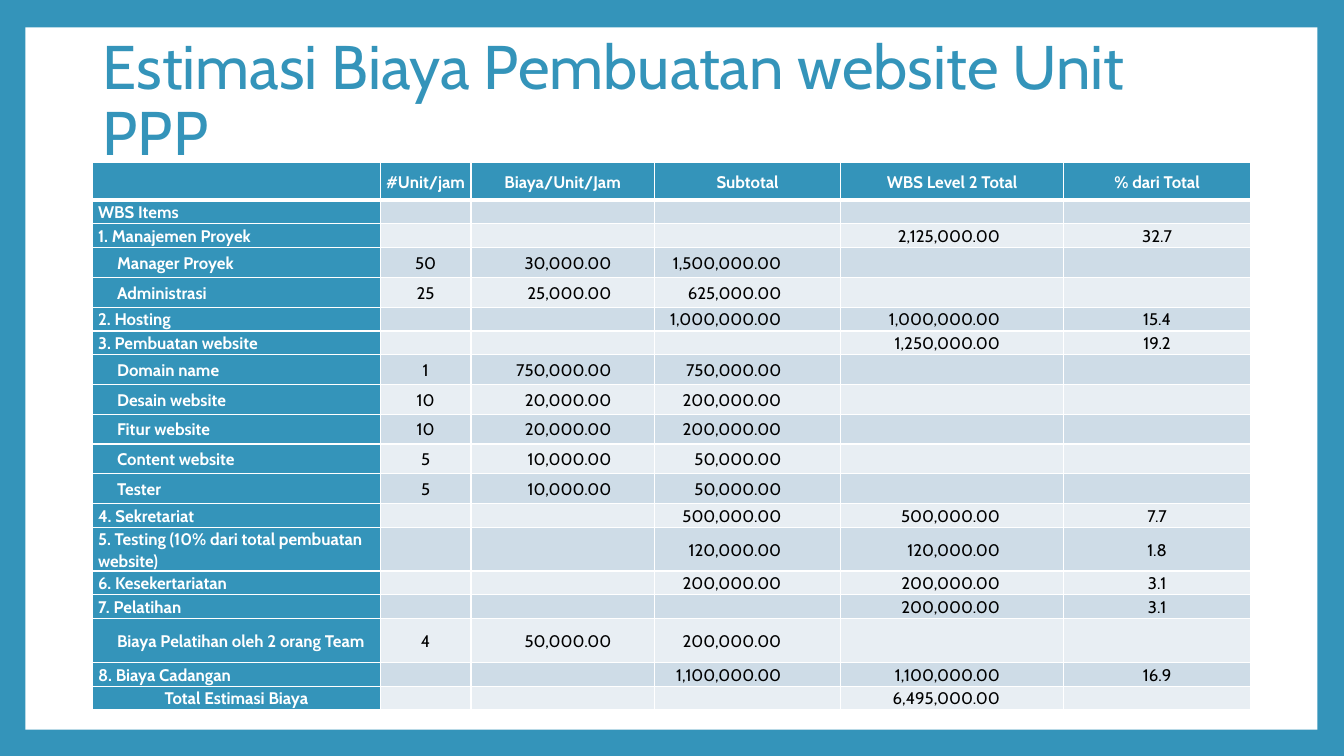
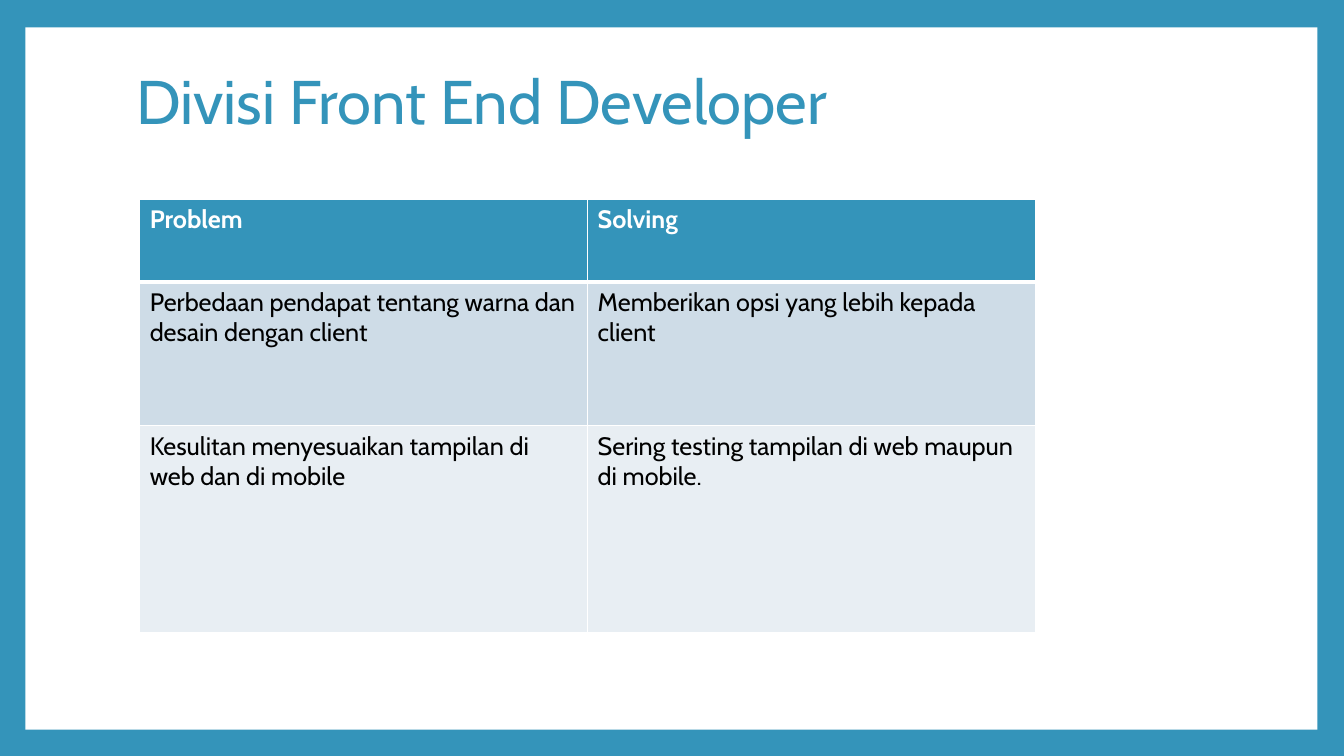
from dataclasses import dataclass

from lxml.etree import SubElement
from pptx import Presentation
from pptx.dml.color import RGBColor as RGB
from pptx.enum.shapes import MSO_SHAPE as SHAPE
from pptx.enum.text import MSO_ANCHOR as ANCHOR, PP_ALIGN as ALIGN
from pptx.oxml.ns import qn
from pptx.util import Cm, Pt


@dataclass(frozen=True)
class Theme:
    font: str = "Cabin"
    accent: str = "3494BA"
    white: str = "FFFFFF"
    black: str = "000000"
    bands: tuple = ("CEDCE7", "E8EEF3")
    title_size: int = 44
    body_size: int = 18
    small_size: int = 12
    thin: int = 1
    thick: int = 3


THEME = Theme()
SLIDE_W, SLIDE_H = 33.87, 19.05
PANEL = (0.64, 0.69, 32.56, 17.7)
TITLE_H = 3.8

COST_COLS = (7.24, 2.29, 4.62, 4.7, 5.61, 4.72)
COST_PAD = 0.13
ITEM_INDENT = 0.61
# Right padding of the amount columns, by column number
AMOUNT_PAD = {2: 1.08, 3: 1.5, 4: 1.6}
HEADER_H, GROUP_H, ITEM_H, TALL_H = 0.94, 0.6, 0.75, 1.1

COSTS = [
    ("", "#Unit/jam", "Biaya/Unit/Jam", "Subtotal", "WBS Level 2 Total", "% dari Total"),
    ("WBS Items", "", "", "", "", ""),
    ("1. Manajemen Proyek", "", "", "", "2,125,000.00", "32.7"),
    ("Manager Proyek", "50", "30,000.00", "1,500,000.00", "", ""),
    ("Administrasi", "25", "25,000.00", "625,000.00", "", ""),
    ("2. Hosting", "", "", "1,000,000.00", "1,000,000.00", "15.4"),
    ("3. Pembuatan website", "", "", "", "1,250,000.00", "19.2"),
    ("Domain name", "1", "750,000.00", "750,000.00", "", ""),
    ("Desain website", "10", "20,000.00", "200,000.00", "", ""),
    ("Fitur website", "10", "20,000.00", "200,000.00", "", ""),
    ("Content website", "5", "10,000.00", "50,000.00", "", ""),
    ("Tester", "5", "10,000.00", "50,000.00", "", ""),
    ("4. Sekretariat", "", "", "500,000.00", "500,000.00", "7.7"),
    ("5. Testing (10% dari total pembuatan website)", "", "", "120,000.00", "120,000.00", "1.8"),
    ("6. Kesekertariatan", "", "", "200,000.00", "200,000.00", "3.1"),
    ("7. Pelatihan", "", "", "", "200,000.00", "3.1"),
    ("Biaya Pelatihan oleh 2 orang Team", "4", "50,000.00", "200,000.00", "", ""),
    ("8. Biaya Cadangan", "", "", "1,100,000.00", "1,100,000.00", "16.9"),
    ("Total Estimasi Biaya", "", "", "", "6,495,000.00", ""),
]

PROBLEMS = [
    ("Problem", "Solving"),
    ("Perbedaan pendapat tentang warna dan desain dengan client",
     "Memberikan opsi yang lebih kepada client"),
    ("Kesulitan menyesuaikan tampilan di web dan di mobile",
     "Sering testing tampilan di web maupun di mobile."),
]


def style_text(p, size, color, bold=False):
    for r in p.runs:
        r.font.name = THEME.font
        r.font.size = Pt(size)
        r.font.bold = bold
        r.font.color.rgb = RGB.from_string(color)


def add_frame(prs):
    """Blank slide with the coloured border and the white panel."""
    s = prs.slides.add_slide(prs.slide_layouts[6])
    s.background.fill.solid()
    s.background.fill.fore_color.rgb = RGB.from_string(THEME.accent)
    panel = s.shapes.add_shape(SHAPE.RECTANGLE, *map(Cm, PANEL))
    panel.shadow.inherit = False
    panel.fill.solid()
    panel.fill.fore_color.rgb = RGB.from_string(THEME.white)
    panel.line.fill.background()
    return s


def add_title(s, text, left, top, width):
    tf = s.shapes.add_textbox(Cm(left), Cm(top), Cm(width), Cm(TITLE_H)).text_frame
    tf.word_wrap = True
    tf.vertical_anchor = ANCHOR.MIDDLE
    tf.text = text
    p = tf.paragraphs[0]
    p.line_spacing = 0.9
    style_text(p, THEME.title_size, THEME.accent)


def set_borders(cell, top, bottom):
    tc_pr = cell._tc.get_or_add_tcPr()
    widths = {"lnL": THEME.thin, "lnR": THEME.thin, "lnT": top, "lnB": bottom}
    for side, width in widths.items():
        ln = SubElement(tc_pr, qn(f"a:{side}"), w=str(Pt(width)))
        SubElement(SubElement(ln, qn("a:solidFill")), qn("a:srgbClr"), val=THEME.white)


def add_grid(s, left, top, widths, heights, rows, size, label_column=False):
    """Table with an accent header, banded rows and white rules."""
    tbl = s.shapes.add_table(len(rows), len(widths), Cm(left), Cm(top),
                             Cm(sum(widths)), Cm(sum(heights))).table
    tbl.first_row = tbl.horz_banding = False
    for col, width in zip(tbl.columns, widths):
        col.width = Cm(width)
    for i, (row, height, texts) in enumerate(zip(tbl.rows, heights, rows)):
        row.height = Cm(height)
        for j, (cell, text) in enumerate(zip(row.cells, texts)):
            is_label = i == 0 or (label_column and j == 0)
            set_borders(cell, THEME.thick if i == 1 else THEME.thin,
                        THEME.thick if i == 0 else THEME.thin)
            cell.fill.solid()
            cell.fill.fore_color.rgb = RGB.from_string(
                THEME.accent if is_label else THEME.bands[(i - 1) % 2])
            p = cell.text_frame.paragraphs[0]
            if text:
                p.text = text
                style_text(p, size, THEME.white if is_label else THEME.black, is_label)
            else:  # keeps empty cells from stretching the row
                SubElement(p._p, qn("a:endParaRPr"), sz=str(size * 100))
    return tbl


def is_group(label):
    return label[0].isdigit() or label.startswith(("WBS", "Total"))


def cost_height(label):
    if not label:
        return HEADER_H
    if len(label) > 30:
        return TALL_H
    return GROUP_H if is_group(label) else ITEM_H


def add_cost_table(s, left, top):
    heights = [cost_height(row[0]) for row in COSTS]
    tbl = add_grid(s, left, top, COST_COLS, heights, COSTS, THEME.small_size, True)
    for i, row in enumerate(tbl.rows):
        for j, cell in enumerate(row.cells):
            label = COSTS[i][0]
            cell.vertical_anchor = ANCHOR.MIDDLE
            cell.margin_top = cell.margin_bottom = 0
            cell.margin_left = cell.margin_right = Cm(COST_PAD)
            p = cell.text_frame.paragraphs[0]
            p.line_spacing = 1.07
            p.alignment = ALIGN.CENTER
            if i and j in AMOUNT_PAD:
                p.alignment = ALIGN.RIGHT
                cell.margin_right = Cm(AMOUNT_PAD[j])
            elif i and j == 0 and not label.startswith("Total"):
                p.alignment = ALIGN.LEFT
                if not is_group(label):
                    cell.margin_left = Cm(ITEM_INDENT)


def cost_slide(prs):
    s = add_frame(prs)
    add_title(s, "Estimasi Biaya Pembuatan website Unit PPP", 2.34, 0.69, 28.9)
    add_cost_table(s, 2.34, 4.1)


def problem_slide(prs):
    s = add_frame(prs)
    add_title(s, "Divisi Front End Developer", 3.18, 0.74, 27.43)
    add_grid(s, 3.52, 5.02, (11.29, 11.29), (2.08, 3.63, 5.21), PROBLEMS, THEME.body_size)


def main():
    prs = Presentation()
    prs.slide_width, prs.slide_height = Cm(SLIDE_W), Cm(SLIDE_H)
    cost_slide(prs)
    problem_slide(prs)
    prs.save("out.pptx")


if __name__ == "__main__":
    main()
